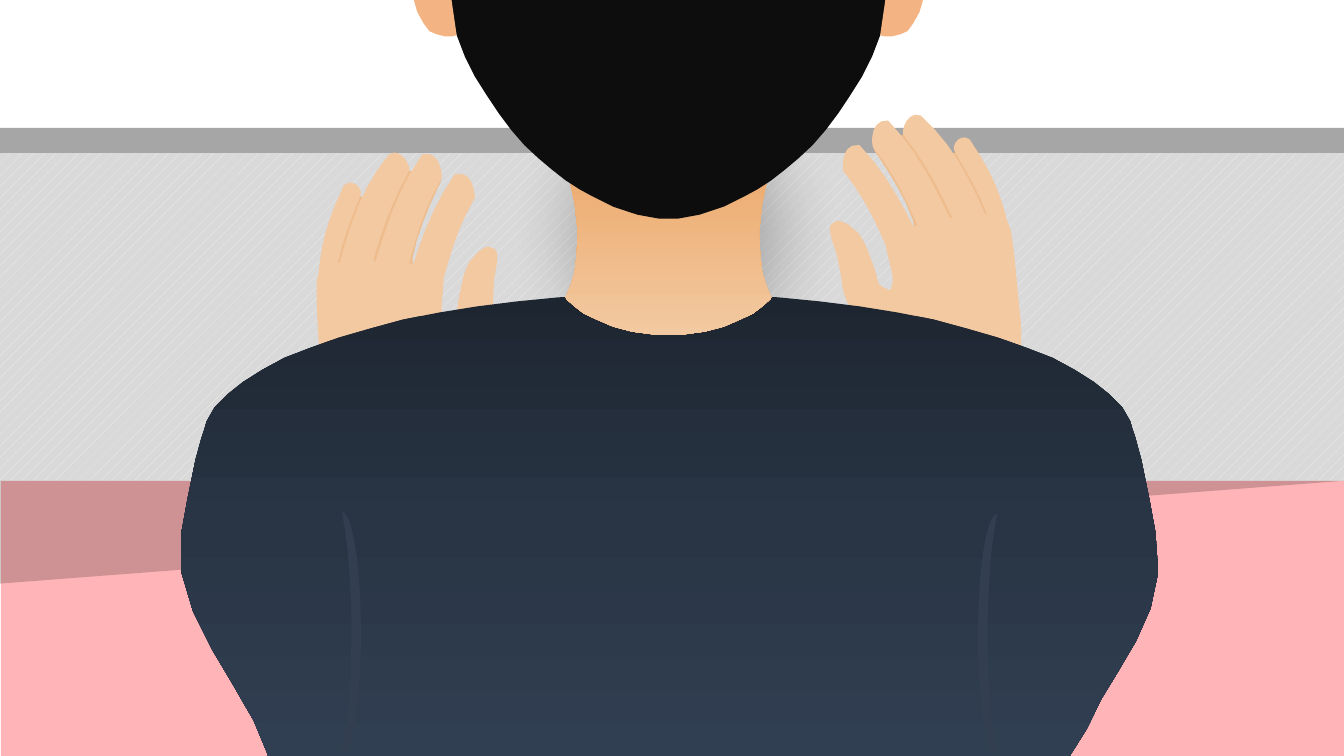
from math import cos, radians, sin

from pptx import Presentation
from pptx.dml.color import RGBColor
from pptx.enum.dml import MSO_PATTERN
from pptx.enum.shapes import MSO_SHAPE
from pptx.oxml import parse_xml
from pptx.oxml.ns import nsdecls, qn
from pptx.util import Inches, Pt

RECT = MSO_SHAPE.RECTANGLE
TRIANGLE = MSO_SHAPE.RIGHT_TRIANGLE
OVAL = MSO_SHAPE.OVAL
MOON = MSO_SHAPE.MOON
DOTS = MSO_PATTERN.PERCENT_10

SKIN, CREASE, EAR_SKIN = "F3C9A1", "EFBD8D", "F4B382"
HAIR, SHIRT_FOLD = "0D0D0D", "333F50"
SHIRT_STOPS = [(0, "1D2530"), (50, "293545"), (100, "313F52")]
NECK_STOPS = [(0, "ECA86A"), (100, SKIN)]
AXIS = 6.63  # vertical line of symmetry of the figure

# Outlines: a pair is a straight step, six numbers are a Bezier step.
KNUCKLES = [
    (3.27, 2.64), (3.3, 2.52, 3.42, 2.12, 3.48, 2), (3.55, 1.89, 3.58, 1.98, 3.66, 1.95),
    (3.73, 1.92, 3.84, 1.86, 3.9, 1.81), (3.97, 1.77, 3.99, 1.71, 4.03, 1.69),
    (4.06, 1.68, 4.07, 1.7, 4.13, 1.72), (4.19, 1.74, 4.41, 1.75, 4.37, 1.81),
    (4.33, 1.88, 4.05, 2.47, 4.09, 2.69), (4.13, 2.92, 3.84, 2.81, 3.72, 2.83),
    (3.61, 2.86, 3.48, 2.86, 3.41, 2.84), (3.34, 2.82, 3.32, 2.75, 3.3, 2.72),
    (3.28, 2.68, 3.24, 2.76, 3.27, 2.64)]
MIDDLE = [
    (4.19, 1.53), (3.93, 1.9, 3.83, 2.26, 3.71, 2.64), (4.03, 2.71),
    (4.12, 2.39, 4.18, 2.11, 4.38, 1.77), (4.39, 1.7, 4.35, 1.49, 4.19, 1.53)]
RING = [
    (3.86, 1.53), (3.59, 1.86, 3.49, 2.17, 3.36, 2.64), (3.67, 2.69),
    (3.76, 2.38, 3.86, 2.04, 4.06, 1.69), (4.07, 1.63, 3.97, 1.46, 3.86, 1.53)]
INDEX = [
    (4.51, 1.73), (4.26, 2.09, 4.15, 2.45, 4.03, 2.84), (4.36, 2.91),
    (4.45, 2.59, 4.51, 2.31, 4.71, 1.96), (4.71, 1.9, 4.68, 1.68, 4.51, 1.73)]
LITTLE = [
    (3.41, 1.84), (3.23, 2.22, 3.18, 2.43, 3.15, 2.82), (3.33, 2.72),
    (3.39, 2.39, 3.44, 2.29, 3.58, 1.92), (3.59, 1.86, 3.49, 1.76, 3.41, 1.84)]
THUMB = [
    (4.55, 3.78), (4.58, 3.74), (4.73, 3.5), (4.81, 3.38), (4.85, 3.31), (4.87, 3.26),
    (4.89, 3.16), (4.89, 2.98), (4.9, 2.78), (4.92, 2.66), (4.93, 2.59), (4.93, 2.51),
    (4.91, 2.47), (4.88, 2.46), (4.86, 2.45), (4.82, 2.45), (4.8, 2.46), (4.77, 2.48),
    (4.73, 2.51), (4.7, 2.55), (4.66, 2.59), (4.63, 2.65), (4.6, 2.73), (4.58, 2.82),
    (4.56, 2.91), (4.54, 3.02), (4.53, 3.13), (4.33, 3.38)]
PALM = [
    (4.54, 3.78), (4.51, 3.85, 4.48, 3.91, 4.44, 3.96), (4.4, 4, 4.32, 4.04, 4.29, 4.06),
    (4.27, 4.08, 4.29, 4.05, 4.27, 4.08), (4.26, 4.11, 4.24, 4.2, 4.23, 4.25),
    (4.21, 4.29, 4.25, 4.32, 4.21, 4.34), (4.18, 4.37, 4.09, 4.39, 4.02, 4.39),
    (3.94, 4.39, 3.85, 4.37, 3.76, 4.36), (3.67, 4.35, 3.56, 4.33, 3.48, 4.31),
    (3.4, 4.29, 3.31, 4.26, 3.26, 4.23), (3.22, 4.2, 3.23, 4.16, 3.22, 4.13),
    (3.22, 4.09, 3.23, 4.11, 3.23, 4.05), (3.22, 3.98, 3.19, 3.88, 3.18, 3.74),
    (3.17, 3.59, 3.16, 3.35, 3.15, 3.2), (3.14, 3.04, 3.14, 2.9, 3.14, 2.81),
    (3.15, 2.72, 3.17, 2.69, 3.19, 2.66), (3.22, 2.63, 3.26, 2.64, 3.29, 2.63),
    (3.31, 2.62, 3.35, 2.61, 3.35, 2.61), (3.39, 2.6, 3.47, 2.57, 3.53, 2.57),
    (3.6, 2.56, 3.65, 2.59, 3.72, 2.59), (3.78, 2.6, 3.87, 2.59, 3.93, 2.6),
    (3.98, 2.6, 4.01, 2.61, 4.04, 2.61), (4.09, 2.62), (4.12, 2.62, 4.15, 2.63, 4.18, 2.65),
    (4.22, 2.66, 4.28, 2.71, 4.31, 2.72), (4.34, 2.74, 4.35, 2.73, 4.37, 2.75),
    (4.38, 2.76, 4.4, 2.74, 4.4, 2.79), (4.4, 2.84, 4.38, 3, 4.38, 3.06),
    (4.38, 3.13, 4.39, 3.14, 4.4, 3.17), (4.41, 3.19, 4.41, 3.21, 4.43, 3.21),
    (4.45, 3.21, 4.5, 3.16, 4.53, 3.15), (4.55, 3.14, 4.55, 3.13, 4.58, 3.14),
    (4.6, 3.14, 4.64, 3.14, 4.65, 3.19), (4.65, 3.24, 4.62, 3.36, 4.62, 3.42),
    (4.61, 3.48, 4.62, 3.49, 4.62, 3.54), (4.61, 3.6, 4.57, 3.71, 4.54, 3.78)]
HAND = [(KNUCKLES, 346.2, CREASE), (MIDDLE, 291.6, SKIN), (RING, 291.6, SKIN),
        (INDEX, 291.6, SKIN), (LITTLE, 285, SKIN), (THUMB, 359.3, SKIN), (PALM, 346.2, SKIN)]
LEFT_WRIST, RIGHT_WRIST = (4.54, 3.78), (8.8, 3.45)
RIGHT_TILT, RIGHT_SCALE = -8.65, 0.99

SHOULDER = [
    (6.62, 2.91), (6.85, 2.91), (7.29, 2.93), (7.72, 2.95), (8.13, 2.99), (8.53, 3.04),
    (8.9, 3.1), (9.26, 3.17), (9.59, 3.26), (9.9, 3.35), (10.18, 3.45), (10.44, 3.55),
    (10.66, 3.67), (10.85, 3.79), (11, 3.91), (11.13, 4.04), (11.21, 4.18), (11.23, 4.25),
    (11.26, 4.34), (11.32, 4.56), (11.4, 4.95), (11.46, 5.28)]
SLEEVES = [(11.64, 6.13, 11, 6.65, 10.78, 7.23), (10.61, 7.5), (2.66, 7.5), (2.65, 7.47),
           (2.48, 6.86, 1.65, 6.08, 1.8, 5.28)]
NECK_SIDE = [
    (7.68, 1.52), (7.65, 1.61), (7.61, 1.79), (7.56, 2.02), (7.53, 2.3), (7.54, 2.52),
    (7.56, 2.7), (7.6, 2.83), (7.65, 2.95), (7.64, 2.97), (7.56, 3.04), (7.47, 3.11),
    (7.34, 3.17), (7.18, 3.24), (6.99, 3.29), (6.76, 3.32), (6.63, 3.32)]
HEAD_SIDE = [
    (6.63, -4.44), (6.76, -4.44), (7, -4.43), (7.23, -4.39), (7.45, -4.35), (7.67, -4.28),
    (7.87, -4.18), (8.06, -4.07), (8.24, -3.93), (8.4, -3.75), (8.55, -3.55), (8.67, -3.32),
    (8.78, -3.05), (8.87, -2.75), (8.94, -2.41), (8.99, -2.02), (9.02, -1.6), (9.02, -1.21),
    (9, -0.91), (8.97, -0.63), (8.93, -0.36), (8.87, -0.11), (8.81, 0.13), (8.73, 0.35),
    (8.65, 0.56), (8.55, 0.76), (8.43, 0.95), (8.31, 1.13), (8.19, 1.29), (8.06, 1.44),
    (7.92, 1.57), (7.79, 1.68), (7.65, 1.79), (7.51, 1.88), (7.38, 1.95), (7.18, 2.05),
    (6.94, 2.13), (6.72, 2.17), (6.63, 2.17)]
EAR = [
    (8.73, 0.35), (8.77, 0.36), (8.85, 0.36), (8.93, 0.34), (9, 0.31), (9.06, 0.23),
    (9.12, 0.12), (9.17, -0.05), (9.22, -0.26), (9.25, -0.4), (9.27, -0.54), (9.29, -0.76),
    (9.29, -0.93), (9.27, -1.06), (9.22, -1.16), (9.16, -1.22), (9.1, -1.26), (9.02, -1.28),
    (8.97, -1.29)]


def rgb(color):
    return RGBColor.from_string(color)


def turn(x, y, degrees):
    """Rotate a point clockwise about the origin."""
    c, s = cos(radians(degrees)), sin(radians(degrees))
    return x * c - y * s, x * s + y * c


def flatten(outline, steps=6):
    """Turn the Bezier steps of an outline into short straight ones."""
    points = []
    for step in outline:
        if len(step) == 2:
            points.append(step)
            continue
        x0, y0 = points[-1]
        x1, y1, x2, y2, x3, y3 = step
        for t in (i / steps for i in range(1, steps + 1)):
            a, b, c, d = (1 - t) ** 3, 3 * t * (1 - t) ** 2, 3 * t * t * (1 - t), t ** 3
            points.append((a * x0 + b * x1 + c * x2 + d * x3, a * y0 + b * y1 + c * y2 + d * y3))
    return points


def mirror(points):
    return [(2 * AXIS - x, y) for x, y in reversed(points)]


def to_right_hand(point):
    """Mirror a left-hand point, then tilt and place it at the right wrist."""
    x, y = turn(LEFT_WRIST[0] - point[0], point[1] - LEFT_WRIST[1], RIGHT_TILT)
    return RIGHT_WRIST[0] + RIGHT_SCALE * x, RIGHT_WRIST[1] + RIGHT_SCALE * y


class Scene:
    """Holds the slide and the shape tree that is being drawn into."""

    def __init__(self, prs):
        self.slide = prs.slides.add_slide(prs.slide_layouts[6])
        self.shapes = self.slide.shapes

    def start_group(self):
        self.shapes = self.slide.shapes.add_group_shape().shapes

    def paint(self, sp, fill, alpha=None):
        """Fill with one colour, or with a list of stops from top to bottom."""
        sp.shadow.inherit = False
        sp.line.fill.background()
        if isinstance(fill, list):
            sp.fill.gradient()
            sp.fill.gradient_angle = 270
            stops = "".join(f'<a:gs pos="{pos * 1000}"><a:srgbClr val="{color}"/></a:gs>'
                            for pos, color in fill)
            old = sp._element.spPr.find(".//" + qn("a:gsLst"))
            old.getparent().replace(old, parse_xml(f'<a:gsLst {nsdecls("a")}>{stops}</a:gsLst>'))
            return
        sp.fill.solid()
        sp.fill.fore_color.rgb = rgb(fill)
        if alpha:
            color = sp._element.spPr.find(".//" + qn("a:srgbClr"))
            color.append(parse_xml(f'<a:alpha {nsdecls("a")} val="{alpha * 1000}"/>'))

    def preset(self, kind, box, fill, alpha=None, flip=None):
        sp = self.shapes.add_shape(kind, *map(Inches, box))
        self.paint(sp, fill, alpha)
        if flip:
            sp._element.spPr.xfrm.set(flip, "1")
        return sp

    def outline(self, points, fill, rotation=0):
        """Draw points given as they show; the shape itself carries the rotation."""
        level = [turn(x, y, -rotation) for x, y in points]
        cx, cy = ((min(v) + max(v)) / 2 for v in zip(*level))
        mx, my = turn(cx, cy, rotation)
        start, *rest = [(Inches(x + mx - cx), Inches(y + my - cy)) for x, y in level]
        builder = self.shapes.build_freeform(*start)
        builder.add_line_segments(rest, close=True)
        sp = builder.convert_to_shape()
        sp.rotation = rotation
        self.paint(sp, fill)


def main():
    prs = Presentation()
    prs.slide_width, prs.slide_height = Inches(13.33), Inches(7.5)
    scene = Scene(prs)

    scene.preset(RECT, (0, 1.27, 13.33, 3.5), "A6A6A6")
    counter = scene.preset(RECT, (0, 1.52, 13.33, 3.25), "D9D9D9")
    counter.fill.patterned()
    counter.fill.pattern = DOTS
    counter.fill.fore_color.rgb, counter.fill.back_color.rgb = rgb("F2F2F2"), rgb("D9D9D9")
    scene.preset(RECT, (0.01, 4.77, 13.33, 2.73), "FFB5B7")
    scene.preset(TRIANGLE, (0, 4.77, 13.33, 1.02), "000000", alpha=19, flip="flipV")
    shade = scene.preset(OVAL, (4.89, -0.21, 3.63, 5.1), "000000", alpha=23)
    shade._element.spPr.find(qn("a:effectLst")).append(
        parse_xml(f'<a:softEdge {nsdecls("a")} rad="{Pt(50)}"/>'))

    for is_right in (False, True):
        scene.start_group()
        for part, rotation, color in HAND:
            points = flatten(part)
            if is_right:
                points = [to_right_hand(p) for p in points]
                rotation = (RIGHT_TILT - rotation) % 360
            scene.outline(points, color, rotation)

    scene.start_group()
    scene.outline(flatten(SHOULDER + SLEEVES) + mirror(SHOULDER), SHIRT_STOPS)
    scene.outline(NECK_SIDE + mirror(NECK_SIDE), NECK_STOPS)
    scene.outline(HEAD_SIDE + mirror(HEAD_SIDE), HAIR)
    for ear in (mirror(EAR), EAR):
        scene.outline(ear, EAR_SKIN)
    scene.preset(MOON, (3.39, 5.08, 0.19, 2.39), SHIRT_FOLD, flip="flipH")
    scene.preset(MOON, (9.7, 5.1, 0.19, 2.39), SHIRT_FOLD)
    prs.save("out.pptx")


if __name__ == "__main__":
    main()
